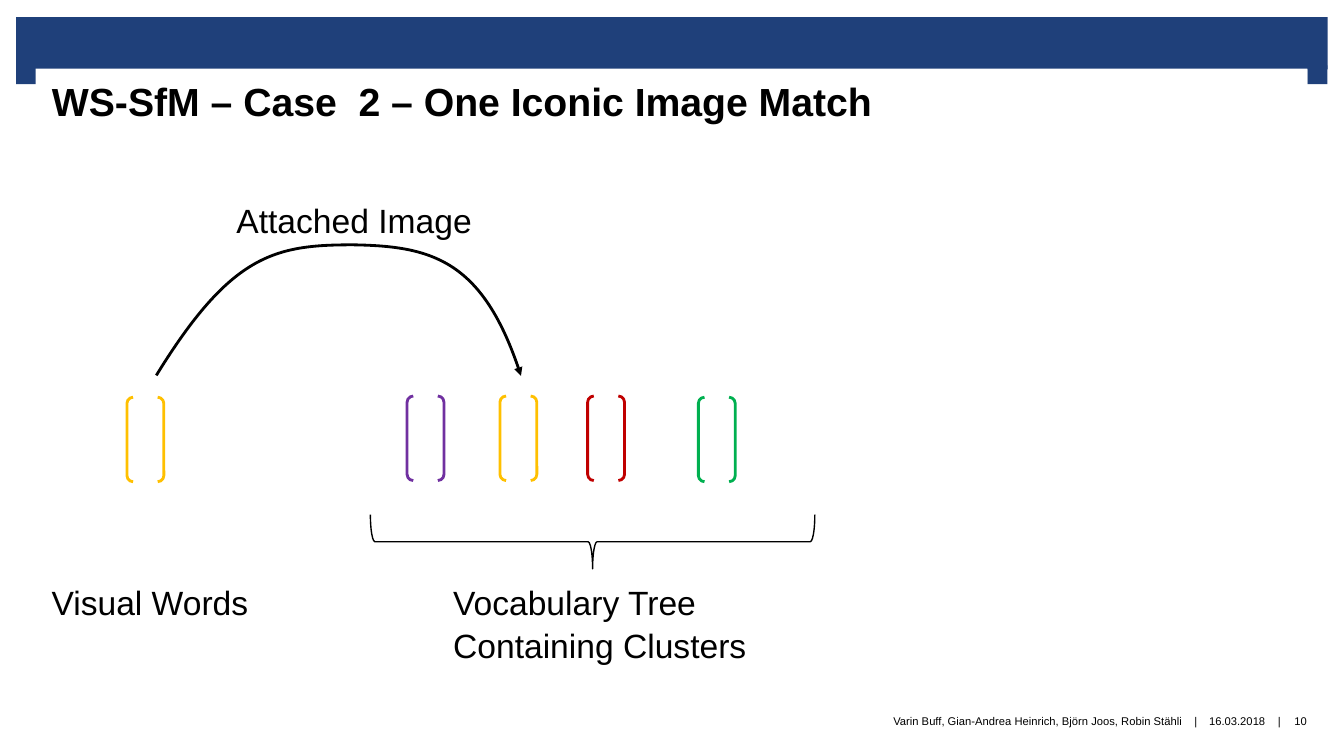
from lxml import etree
from pptx import Presentation
from pptx.dml.color import RGBColor
from pptx.enum import shapes, text
from pptx.oxml import ns
from pptx.util import Cm, Pt

BLACK = RGBColor(0x00, 0x00, 0x00)
WHITE = RGBColor(0xFF, 0xFF, 0xFF)
NAVY = RGBColor(0x1F, 0x40, 0x7A)
YELLOW = RGBColor(0xFF, 0xC0, 0x00)
PURPLE = RGBColor(0x70, 0x30, 0xA0)
GREEN = RGBColor(0x00, 0xB0, 0x50)
RED = RGBColor(0xC0, 0x00, 0x00)
LEFT, CENTER, RIGHT = text.PP_ALIGN.LEFT, text.PP_ALIGN.CENTER, text.PP_ALIGN.RIGHT

deck = Presentation()
deck.slide_width, deck.slide_height = Cm(33.87), Cm(19.05)
slide = deck.slides.add_slide(deck.slide_layouts[6])


def add_text(words, box, size, insets, align=LEFT, anchor=text.MSO_ANCHOR.TOP, spacing=1.0):
    holder = slide.shapes.add_textbox(*map(Cm, box))
    frame = holder.text_frame
    frame.word_wrap = True
    frame.vertical_anchor = anchor
    frame.margin_left, frame.margin_top, frame.margin_right, frame.margin_bottom = map(Cm, insets)
    paragraph = frame.paragraphs[0]
    paragraph.alignment = align
    paragraph.line_spacing = spacing
    run = paragraph.add_run()
    run.text = words
    run.font.name, run.font.size, run.font.color.rgb = "Arial", Pt(size), BLACK
    return holder, run


def add_outline(kind, box, color, width):
    outline = slide.shapes.add_shape(kind, *map(Cm, box))
    outline.shadow.inherit = False
    outline.fill.background()
    outline.line.color.rgb = color
    outline.line.width = Pt(width)
    return outline


# Banner with its two corner tabs
for box in ((0.41, 0.43, 33.05, 1.32), (0.41, 1.65, 0.5, 0.47), (32.95, 1.65, 0.5, 0.47)):
    banner = slide.shapes.add_shape(shapes.MSO_SHAPE.RECTANGLE, *map(Cm, box))
    banner.shadow.inherit = False
    banner.fill.solid()
    banner.fill.fore_color.rgb = NAVY
    banner.line.fill.background()

# Title
title, title_run = add_text("WS-SfM – Case  2 – One Iconic Image Match",
                            (0.9, 1.73, 32.05, 2.69), 28, (0.41, 0.15, 0.41, 0), spacing=1.06)
title_run.font.bold = True
title.fill.solid()
title.fill.fore_color.rgb = WHITE

# Footer
for words, left, width, align in (
    ("Varin Buff, Gian-Andrea Heinrich, Björn Joos, Robin Stähli", 16.92, 12.88, RIGHT),
    ("|", 29.95, 0.38, CENTER),
    ("16.03.2018", 30.33, 1.7, CENTER),
    ("|", 32.05, 0.38, CENTER),
    ("10", 32.28, 1.0, CENTER),
):
    add_text(words, (left, 17.52, width, 1.3), 8, (0, 0, 0, 0), align, text.MSO_ANCHOR.MIDDLE)

# Labels
for words, left, top, width in (
    ("Visual Words", 0.91, 14.6, 7.21),
    ("Attached Image", 5.57, 4.98, 8.76),
    ("Vocabulary Tree Containing Clusters", 11.03, 14.6, 8.3),
):
    add_text(words, (left, top, width, 1.75), 24, (0.39, 0, 0.41, 0), spacing=1.06)

# Visual word on the left, clusters of the vocabulary tree on the right
for left, top, color in ((3.2, 10.01, YELLOW), (10.26, 9.98, PURPLE), (12.6, 9.98, YELLOW),
                         (14.81, 9.98, RED), (17.6, 10.01, GREEN)):
    add_outline(shapes.MSO_SHAPE.DOUBLE_BRACKET, (left, top, 0.93, 2.13), color, 2)

# Brace under the clusters
brace = add_outline(shapes.MSO_SHAPE.LEFT_BRACE, (14.25, 8.05, 1.37, 11.2), BLACK, 1)
brace.rotation = 270

# Curved arrow from the visual word to its cluster
start = (3.94, 9.46)
curves = (((5.82, 6.4), (6.93, 6.17), (8.89, 6.17)),
          ((10.85, 6.2), (12.19, 6.55), (13.13, 9.47)))
builder = slide.shapes.build_freeform(Cm(start[0]), Cm(start[1]))
builder.add_line_segments([(Cm(x), Cm(y)) for *_, (x, y) in curves], close=False)
arrow = builder.convert_to_shape()
arrow.shadow.inherit = False
arrow.fill.background()
arrow.line.color.rgb = BLACK
arrow.line.width = Pt(2)
segments = list(arrow._element.iter(ns.qn("a:lnTo")))
for segment, points in zip(segments, curves):
    bezier = etree.Element(ns.qn("a:cubicBezTo"))
    for x, y in points:
        etree.SubElement(bezier, ns.qn("a:pt"), x=str(Cm(x) - arrow.left), y=str(Cm(y) - arrow.top))
    segment.getparent().replace(segment, bezier)
etree.SubElement(arrow.line._get_or_add_ln(), ns.qn("a:tailEnd"), type="triangle")

deck.save("out.pptx")
